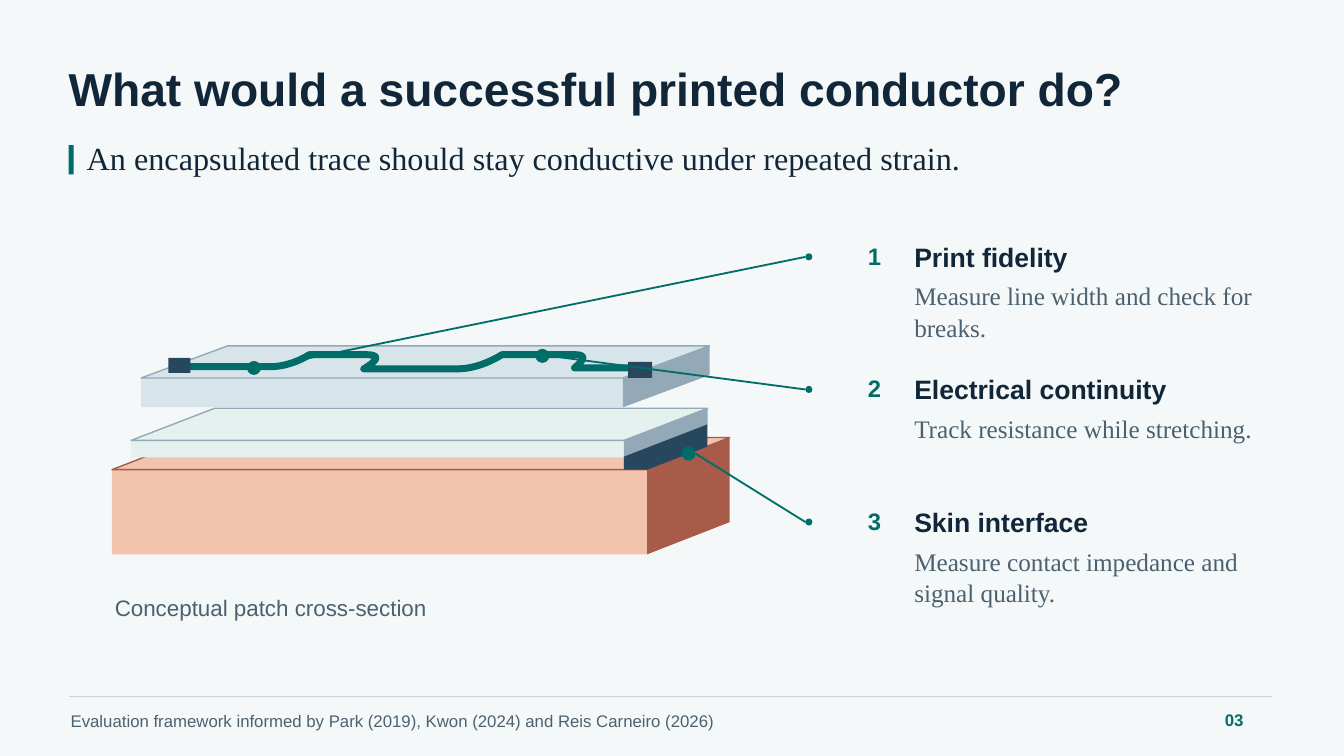
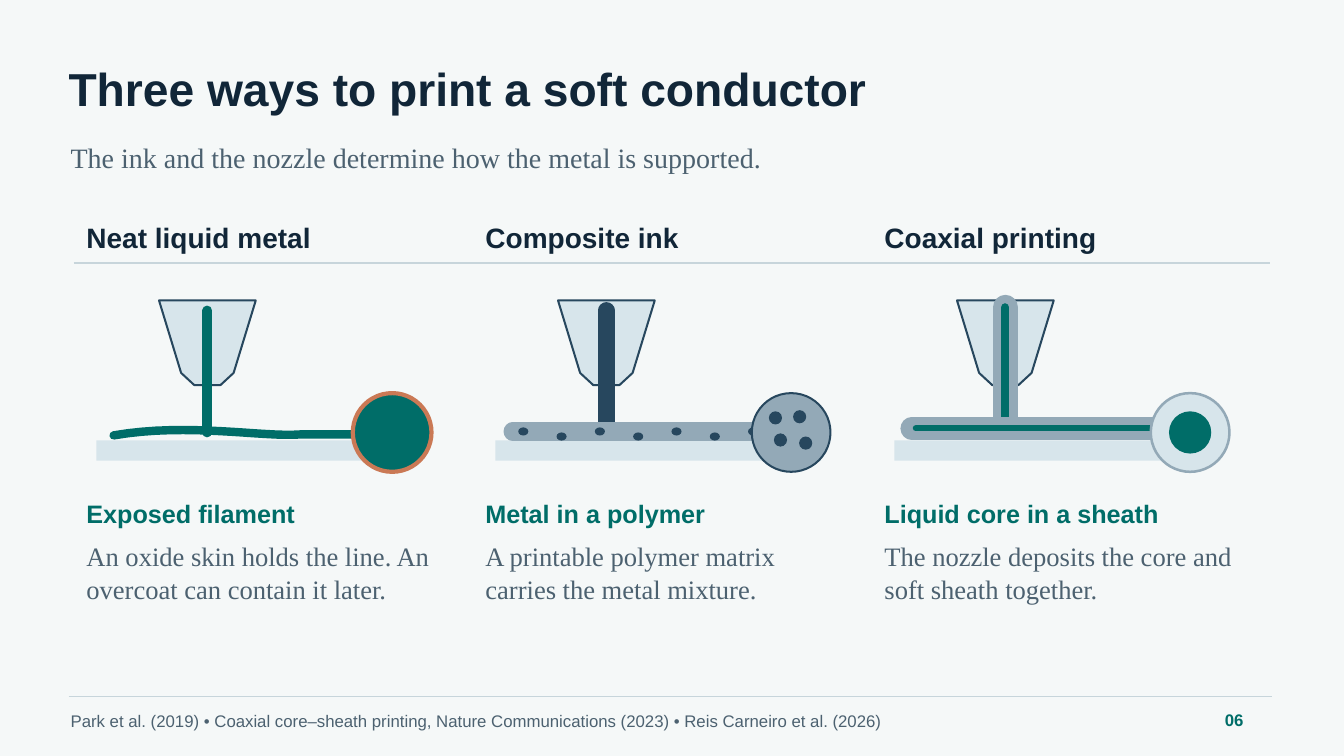
from dataclasses import dataclass

from lxml import etree
from pptx import Presentation
from pptx.dml.color import RGBColor
from pptx.enum.shapes import MSO_CONNECTOR, MSO_SHAPE
from pptx.oxml.ns import qn
from pptx.util import Pt

STRAIGHT = MSO_CONNECTOR.STRAIGHT
RECTANGLE = MSO_SHAPE.RECTANGLE
OVAL = MSO_SHAPE.OVAL
SANS, SERIF = "Arial", "Times New Roman"


@dataclass(frozen=True)
class Theme:
    paper: str = "F5F8F8"
    ink: str = "112638"
    muted: str = "4C6170"
    teal: str = "006D68"
    navy: str = "27475E"
    steel: str = "93A9B7"
    ice: str = "D7E5EB"
    mint: str = "E5F1EF"
    rule: str = "C7D5DB"
    skin: str = "F2C3AD"
    clay: str = "A95B49"
    copper: str = "CA7955"

    def style(self, name):
        """Return font values, colour and exact line spacing for a text role."""
        size, family, color, bold, spacing = {
            "title": (33, SANS, self.ink, True, 41.4),
            "lead": (23, SERIF, self.ink, False, 25.2),
            "subtitle": (20, SERIF, self.muted, False, 25.2),
            "source": (12, SANS, self.muted, False, 15.4),
            "page": (12, SANS, self.teal, True, 15.4),
            "caption": (16, SANS, self.muted, False, 20.2),
            "number": (17, SANS, self.teal, True, 21.6),
            "callout": (19, SANS, self.ink, True, 24.1),
            "measure": (18, SERIF, self.muted, False, 22.7),
            "method": (20, SANS, self.ink, True, 25.2),
            "result": (18, SANS, self.teal, True, 23),
            "detail": (19, SERIF, self.muted, False, 23.8),
        }[name]
        return {"size": Pt(size), "name": family, "bold": bold}, color, Pt(spacing)


THEME = Theme()
MARGIN = 49
BODY_WIDTH = 256

# Callouts
CALLOUT_TOP, CALLOUT_PITCH = 183.5, 94.7
LEADER_END = 577.8

# Printing columns
COLUMN_LEFT, COLUMN_PITCH = 60.3, 285
NOZZLE_TOP = 214.6
STEM_X = 87.8
BEAD_START, BEAD_END = 20.9, 231
SECTION_X, SECTION_Y, SECTION_SIZE = 219.8, 308.9, 56.2


def add_text(page, text, role, left, top, width, height):
    box = page.shapes.add_textbox(Pt(left), Pt(top), Pt(width), Pt(height))
    frame = box.text_frame
    frame.word_wrap = True
    for side in ("left", "top", "right", "bottom"):
        setattr(frame, f"margin_{side}", Pt(1.44))
    values, color, spacing = THEME.style(role)
    para = frame.paragraphs[0]
    para.line_spacing = spacing
    span = para.add_run()
    span.text = text
    for name, value in values.items():
        setattr(span.font, name, value)
    span.font.color.rgb = RGBColor.from_string(color)


def set_line(shape, color, width, rounded=False):
    shape.line.color.rgb = RGBColor.from_string(color)
    shape.line.width = Pt(width)
    if rounded:
        shape.line._get_or_add_ln().set("cap", "rnd")


def paint(shape, fill=None, line=None, width=1, rounded=False):
    shape.shadow.inherit = False
    if fill:
        shape.fill.solid()
        shape.fill.fore_color.rgb = RGBColor.from_string(fill)
    else:
        shape.fill.background()
    if line:
        set_line(shape, line, width, rounded)
    else:
        shape.line.fill.background()


def add_rectangle(page, left, top, width, height, fill):
    shape = page.shapes.add_shape(RECTANGLE, Pt(left), Pt(top), Pt(width), Pt(height))
    paint(shape, fill)


def add_oval(page, x, y, across, fill, height=None, **outline):
    """Add an ellipse by its centre; it is a circle without a height."""
    height = height or across
    shape = page.shapes.add_shape(
        OVAL, Pt(x - across / 2), Pt(y - height / 2), Pt(across), Pt(height))
    paint(shape, fill, **outline)


def add_line(page, start, end, color, width, rounded=False):
    points = [Pt(value) for value in (*start, *end)]
    line = page.shapes.add_connector(STRAIGHT, *points)
    set_line(line, color, width, rounded)
    etree.SubElement(line._element.spPr, qn("a:effectLst"))


def add_outline(page, points, close=True, **look):
    first, *rest = [(Pt(x), Pt(y)) for x, y in points]
    builder = page.shapes.build_freeform(*first)
    builder.add_line_segments(rest, close=close)
    paint(builder.convert_to_shape(), **look)


def flatten(start, segments, steps=16):
    """Turn (x, y) lines and six-value cubic curves into a list of points."""
    points = [start]
    for segment in segments:
        if len(segment) == 2:
            points.append(segment)
            continue
        x0, y0 = points[-1]
        x1, y1, x2, y2, x3, y3 = segment
        for step in range(1, steps + 1):
            t = step / steps
            a, b, c, d = (1 - t) ** 3, 3 * t * (1 - t) ** 2, 3 * t * t * (1 - t), t ** 3
            points.append((a * x0 + b * x1 + c * x2 + d * x3,
                           a * y0 + b * y1 + c * y2 + d * y3))
    return points


def add_page(deck, title, source, number):
    page = deck.slides.add_slide(deck.slide_layouts[6])
    add_text(page, title, "title", 47.5, 39.6, 865, 44)
    add_line(page, (MARGIN, 497.5), (908.6, 497.5), THEME.rule, 0.85)
    add_text(page, source, "source", MARGIN, 505.4, 806, 18)
    add_text(page, number, "page", 873.4, 504.7, 35, 18)
    return page


def add_slab(page, left, right, top, height, shift, face, side, edge):
    """Draw a box in oblique view; top is the upper edge of its front."""
    rise = 23
    back, bottom = top - rise, top + height
    add_rectangle(page, left, top, right - left, height, face)
    add_outline(page, [(left, top), (left + shift, back), (right + shift, back),
                       (right, top)], fill=face, line=edge)
    add_outline(page, [(right, top), (right + shift, back),
                       (right + shift, bottom - rise), (right, bottom)], fill=side)


def add_patch(page):
    ice, steel = THEME.ice, THEME.steel
    add_slab(page, 80, 462.2, 335.5, 60.5, 59, THEME.skin, THEME.clay, THEME.clay)
    add_slab(page, 93.6, 445.7, 314.6, 12.2, 59.8, THEME.mint, steel, steel)
    add_slab(page, 100.8, 445, 270, 20.9, 61.9, ice, steel, steel)
    trace = flatten((136, 262), [
        (192.2, 262), (201.6, 262, 211.7, 259.2, 221, 253.4),
        (261.4, 253.4), (271.4, 253.4, 270.7, 257, 259.9, 263.5),
        (326.9, 263.5), (337, 263.5, 347.8, 259.9, 358.6, 253.4),
        (410.4, 253.4), (418.3, 253.4, 418.3, 256.3, 410.4, 262.8),
        (448.6, 262.8)])
    add_outline(page, trace, close=False, line=THEME.teal, width=5, rounded=True)
    add_rectangle(page, 120.2, 255.6, 15.8, 10.8, THEME.navy)
    add_rectangle(page, 448.6, 258.5, 17.2, 11.5, THEME.navy)
    add_outline(page, [(445.7, 326.2), (505.4, 303.1), (505.4, 319), (462.2, 335.5),
                       (445.7, 335.5)], fill=THEME.navy)


def add_callout(page, index, target, heading, measure):
    x, y = target
    level = CALLOUT_TOP + index * CALLOUT_PITCH
    add_oval(page, x, y, 10, THEME.teal)
    add_oval(page, LEADER_END, level, 5, THEME.teal)
    add_line(page, (x + 5, y), (LEADER_END - 2.5, level), THEME.teal, 1.3)
    add_text(page, str(index + 1), "number", 618.5, level - 13.6, 21, 24)
    add_text(page, heading, "callout", 651.6, level - 14.3, 250, 27)
    add_text(page, measure, "measure", 651.6, level + 14.5, BODY_WIDTH, 48)


def add_goals_page(deck):
    page = add_page(
        deck, "What would a successful printed conductor do?",
        "Evaluation framework informed by Park (2019), Kwon (2024) and Reis Carneiro (2026)",
        "03")
    add_rectangle(page, MARGIN, 103.7, 3.6, 20.9, THEME.teal)
    add_text(page, "An encapsulated trace should stay conductive under repeated strain.",
             "lead", 60.5, 100.1, 844, 41)
    add_patch(page)
    add_text(page, "Conceptual patch cross-section", "caption", 80.6, 421.9, 454, 22)
    callouts = [
        ((181.4, 262.8), "Print fidelity", "Measure line width and check for breaks."),
        ((387.4, 254.2), "Electrical continuity", "Track resistance while stretching."),
        ((491.8, 324), "Skin interface", "Measure contact impedance and signal quality."),
    ]
    for index, callout in enumerate(callouts):
        add_callout(page, index, *callout)


def draw_filament(page, left):
    bead = flatten((BEAD_START, 311), [
        (74.9, 301.7, 126.7, 312.5, 154.8, 310.3), (BEAD_END, 310.3)])
    add_outline(page, [(left + x, y) for x, y in bead], close=False,
                line=THEME.teal, width=6, rounded=True)
    add_oval(page, left + SECTION_X, SECTION_Y, SECTION_SIZE, THEME.teal,
             line=THEME.copper, width=3)


def draw_composite(page, left):
    add_line(page, (left + BEAD_START, 308.2), (left + BEAD_END, 308.2),
             THEME.steel, 13, True)
    for index in range(8):
        add_oval(page, left + 28.5 + index * 27.36, 308.2 + index % 2 * 3.6, 7.2,
                 THEME.navy, height=5.8)
    x = left + SECTION_X
    add_oval(page, x, SECTION_Y, SECTION_SIZE, THEME.steel, line=THEME.navy, width=1.45)
    for right, down in ((-11.2, -10.4), (6.1, -11.2), (-7.6, 5.4), (10.4, 7.6)):
        add_oval(page, x + right, SECTION_Y + down, 9.4, THEME.navy)


def draw_coaxial(page, left):
    for inset, color, width in ((0, THEME.steel, 16), (3, THEME.teal, 4.4)):
        add_line(page, (left + BEAD_START + inset, 306), (left + BEAD_END - inset, 306),
                 color, width, True)
    x = left + SECTION_X
    add_oval(page, x, SECTION_Y, SECTION_SIZE, THEME.ice, line=THEME.steel, width=1.8)
    add_oval(page, x, SECTION_Y, 30.2, THEME.teal)


def add_nozzle(page, left, span, streams):
    """Draw a nozzle and the streams, as (colour, width), that leave it."""
    rim = [(53.3, 0), (122.4, 0), (106.6, 51.8), (97.2, 60.5), (78.5, 60.5), (69.1, 51.8)]
    add_outline(page, [(left + x, NOZZLE_TOP + y) for x, y in rim],
                fill=THEME.ice, line=THEME.navy, width=1.45)
    top, bottom = span
    for color, width in streams:
        add_line(page, (left + STEM_X, top), (left + STEM_X, bottom), color, width, True)


def add_method(page, left, name, span, streams, draw_bead, result, detail):
    add_text(page, name, "method", left, 154.8, 262, 27)
    add_nozzle(page, left, span, streams)
    add_rectangle(page, left + 8.6, 314.6, 232.6, 14.4, THEME.ice)
    draw_bead(page, left)
    add_text(page, result, "result", left, 352.8, 263, 25)
    add_text(page, detail, "detail", left, 383, BODY_WIDTH, 50)


def add_methods_page(deck):
    page = add_page(
        deck, "Three ways to print a soft conductor",
        "Park et al. (2019) • Coaxial core–sheath printing, Nature Communications (2023)"
        " • Reis Carneiro et al. (2026)", "06")
    add_text(page, "The ink and the nozzle determine how the metal is supported.",
             "subtitle", MARGIN, 97.9, 864, 27)
    add_line(page, (52.6, 187.9), (907.2, 187.9), THEME.rule, 1.2)
    methods = [
        ("Neat liquid metal", (221.8, 308.9), [(THEME.teal, 7)], draw_filament,
         "Exposed filament", "An oxide skin holds the line. An overcoat can contain it later."),
        ("Composite ink", (221.8, 308.9), [(THEME.navy, 12)], draw_composite,
         "Metal in a polymer", "A printable polymer matrix carries the metal mixture."),
        ("Coaxial printing", (219.6, 303.8), [(THEME.steel, 18), (THEME.teal, 6)],
         draw_coaxial, "Liquid core in a sheath",
         "The nozzle deposits the core and soft sheath together."),
    ]
    for index, method in enumerate(methods):
        add_method(page, COLUMN_LEFT + index * COLUMN_PITCH, *method)


def main():
    deck = Presentation()
    deck.slide_width, deck.slide_height = Pt(960), Pt(540)
    backdrop = deck.slide_master.background.fill
    backdrop.solid()
    backdrop.fore_color.rgb = RGBColor.from_string(THEME.paper)
    add_goals_page(deck)
    add_methods_page(deck)
    deck.save("out.pptx")


if __name__ == "__main__":
    main()
